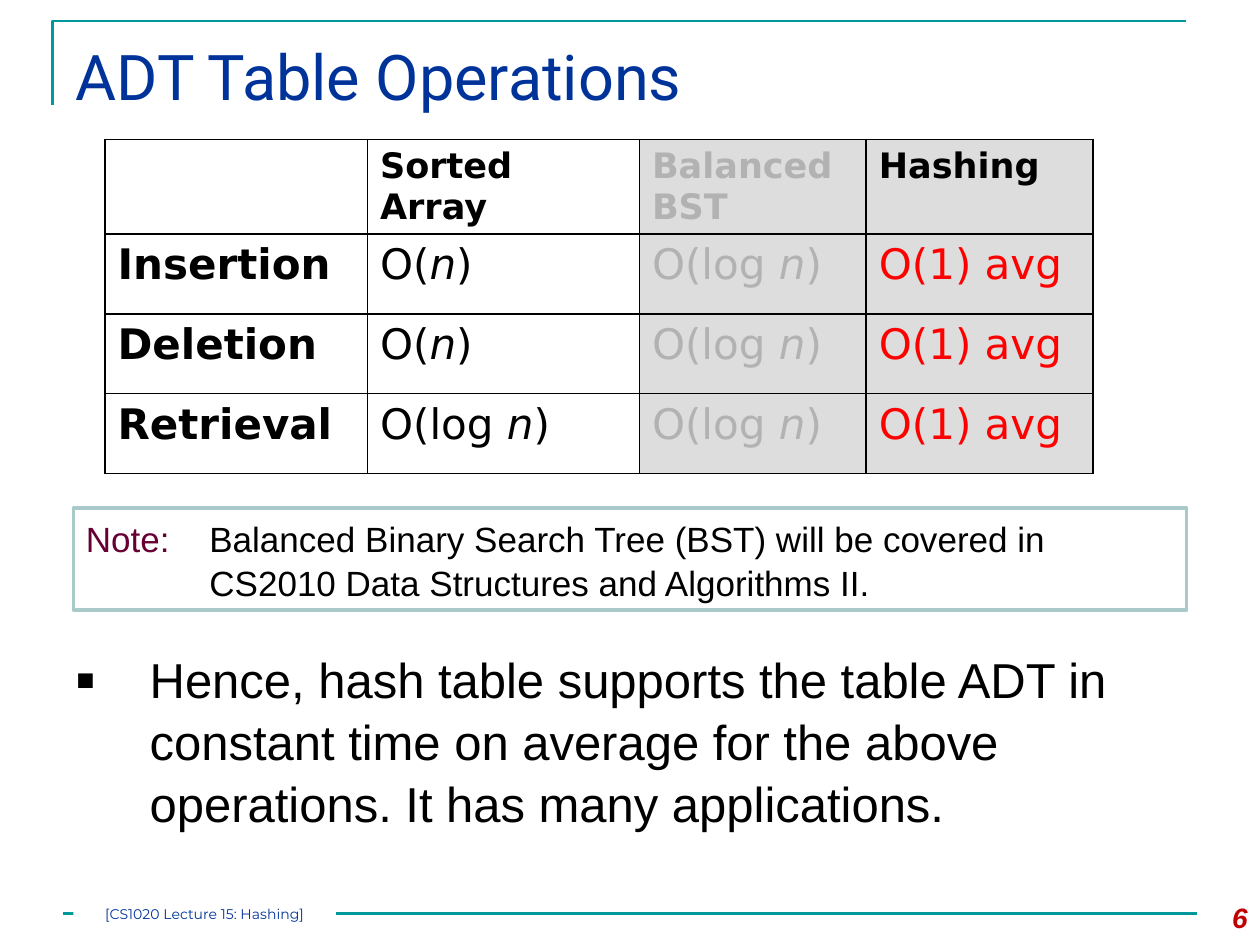
import pptx
import pptx.dml.color
import pptx.enum.shapes
import pptx.enum.text
import pptx.oxml
import pptx.oxml.ns
import pptx.util
from lxml import etree

UNIT = pptx.util.Inches(1) / 12  # the slide is a grid of 120 columns by 90 rows
COLORS = {
    "white": "FFFFFF", "black": "000000", "teal": "009999", "navy": "003399",
    "pale teal": "AACACA", "plum": "660033", "dark red": "C00000",
    "red": "FF0000", "gray": "B2B2B2", "shade": "DDDDDD",
}
COLUMN_WIDTHS = [25, 25.9, 21.6, 21.6]
ROW_HEIGHTS = [9, 7.6, 7.6, 7.6]
LINEAR = ["O(", "n", ")"]
LOGARITHMIC = ["O(log ", "n", ")"]
CONSTANT = ["O(1) avg"]
ROWS = [
    [[], ["Sorted Array"], ["Balanced BST"], ["Hashing"]],
    [["Insertion"], LINEAR, LOGARITHMIC, CONSTANT],
    [["Deletion"], LINEAR, LOGARITHMIC, CONSTANT],
    [["Retrieval"], LOGARITHMIC, LOGARITHMIC, CONSTANT],
]
LEFT = pptx.enum.text.PP_ALIGN.LEFT
CENTER = pptx.enum.text.PP_ALIGN.CENTER
RIGHT = pptx.enum.text.PP_ALIGN.RIGHT
TOP = pptx.enum.text.MSO_ANCHOR.TOP
MIDDLE = pptx.enum.text.MSO_ANCHOR.MIDDLE


def grid(*values):
    return [round(value * UNIT) for value in values]


def rgb(color):
    return pptx.dml.color.RGBColor.from_string(COLORS[color])


def text_format(name, size, color, **styles):
    return {"name": name, "size": pptx.util.Pt(size), "color": color, **styles}


def add_run(paragraph, text, font_format):
    run = paragraph.add_run()
    run.text = text
    for key, value in font_format.items():
        if key == "color":
            run.font.color.rgb = rgb(value)
        else:
            setattr(run.font, key, value)


def format_frame(frame, anchor=TOP, align=LEFT, margin=None):
    """Set up a text frame and return its first paragraph."""
    settings = {"word_wrap": True, "vertical_anchor": anchor,
                "auto_size": pptx.enum.text.MSO_AUTO_SIZE.NONE}
    if margin is not None:
        for side in ("left", "right", "top", "bottom"):
            settings[f"margin_{side}"] = margin
    for key, value in settings.items():
        setattr(frame, key, value)
    paragraph = frame.paragraphs[0]
    paragraph.alignment = align
    return paragraph


def set_hanging_indent(paragraph, inches):
    properties = paragraph._p.get_or_add_pPr()
    indent = pptx.util.Inches(inches)
    properties.set("marL", str(indent))
    properties.set("indent", str(-indent))
    return properties


def format_line(line, color, width):
    line.color.rgb = rgb(color)
    line.width = pptx.util.Pt(width)


def add_title(slide, text):
    title = slide.shapes.title
    title.left, title.top, title.width, title.height = grid(6, 3, 108, 10.3)
    paragraph = format_frame(title.text_frame)
    add_run(paragraph, text, text_format("Roboto", 36, "navy"))


def add_corner_rule(slide):
    start, *others = [grid(5, 10), grid(5, 2), grid(113, 2)]
    builder = slide.shapes.build_freeform(*start, scale=1.0)
    builder.add_line_segments(others, close=False)
    rule = builder.convert_to_shape()
    rule.shadow.inherit = False
    rule.fill.background()
    format_line(rule.line, "teal", 1.5)


def add_footer_rule(slide):
    rule = slide.shapes.add_connector(
        pptx.enum.shapes.MSO_CONNECTOR.STRAIGHT, *grid(6, 87, 114, 87))
    format_line(rule.line, "teal", 1.5)
    etree.SubElement(rule._element.spPr, pptx.oxml.ns.qn("a:effectLst"))


def add_box(slide, bounds, line_color=None):
    box = slide.shapes.add_shape(
        pptx.enum.shapes.MSO_SHAPE.RECTANGLE, *grid(*bounds))
    box.shadow.inherit = False
    box.fill.solid()
    box.fill.fore_color.rgb = rgb("white")
    if line_color:
        format_line(box.line, line_color, 2)
    else:
        box.line.fill.background()
    return box.text_frame


def add_text_box(slide, bounds):
    return slide.shapes.add_textbox(*grid(*bounds)).text_frame


def set_cell_borders(cell):
    properties = cell._tc.get_or_add_tcPr()
    for side in ("lnL", "lnR", "lnT", "lnB"):
        properties.append(pptx.oxml.parse_xml(
            f'<a:{side} {pptx.oxml.ns.nsdecls("a")} w="12700"><a:solidFill>'
            f'<a:srgbClr val="{COLORS["black"]}"/></a:solidFill></a:{side}>'))


def cell_format(row, column):
    if column == 2:
        color = "gray"
    else:
        color = "red" if column == 3 and row > 0 else "black"
    return text_format("DejaVu Sans", 24 if row else 20, color,
                       bold=row == 0 or column == 0)


def add_operations_table(slide):
    bounds = grid(10, 13.3, sum(COLUMN_WIDTHS), sum(ROW_HEIGHTS))
    table = slide.shapes.add_table(len(ROWS), len(COLUMN_WIDTHS), *bounds).table
    table.first_row = table.horz_banding = False
    for column, width in zip(table.columns, grid(*COLUMN_WIDTHS)):
        column.width = width
    for row, height in zip(table.rows, grid(*ROW_HEIGHTS)):
        row.height = height
    for row, contents in enumerate(ROWS):
        for column, texts in enumerate(contents):
            cell = table.cell(row, column)
            set_cell_borders(cell)
            cell.fill.solid()
            cell.fill.fore_color.rgb = rgb("shade" if column > 1 else "white")
            for text in texts:
                add_run(cell.text_frame.paragraphs[0], text,
                        {**cell_format(row, column), "italic": text == "n"})


def add_note(slide, label, text):
    frame = add_box(slide, (7, 48.4, 106, 9.7), "pale teal")
    paragraph = format_frame(frame, MIDDLE)
    paragraph.line_spacing = 1.05
    set_hanging_indent(paragraph, 0.98)
    add_run(paragraph, label + "\t", text_format("Arial", 20, "plum"))
    add_run(paragraph, text, text_format("Arial", 20, "black"))


def add_conclusion(slide, text):
    paragraph = format_frame(add_text_box(slide, (6, 61, 108, 18)))
    paragraph.line_spacing = 1.05
    properties = set_hanging_indent(paragraph, 0.59)
    for tag, key, value in (("a:buSzPct", "val", "120000"),
                            ("a:buFont", "typeface", "Arial"),
                            ("a:buChar", "char", "▪")):
        etree.SubElement(properties, pptx.oxml.ns.qn(tag)).set(key, value)
    add_run(paragraph, text, text_format("Arial", 28, "black"))


def add_footer(slide, text, number):
    label = format_frame(add_box(slide, (7, 86, 25, 2)), MIDDLE, CENTER, 0)
    add_run(label, text, text_format("Montserrat", 8, "navy"))
    page = format_frame(add_text_box(slide, (112, 85.2, 8, 4.8)), align=RIGHT)
    add_run(page, number,
            text_format("Arial", 16, "dark red", bold=True, italic=True))


def main():
    presentation = pptx.Presentation()
    presentation.slide_width, presentation.slide_height = grid(120, 90)
    slide = presentation.slides.add_slide(presentation.slide_layouts[5])
    add_corner_rule(slide)
    add_footer_rule(slide)
    add_title(slide, "ADT Table Operations")
    add_note(slide, "Note:", "Balanced Binary Search Tree (BST) will be covered "
             "in CS2010 Data Structures and Algorithms II.")
    add_operations_table(slide)
    add_conclusion(slide, "Hence, hash table supports the table ADT in constant "
                   "time on average for the above operations. "
                   "It has many applications.")
    add_footer(slide, "[CS1020 Lecture 15: Hashing]", "6")
    presentation.save("out.pptx")


if __name__ == "__main__":
    main()
